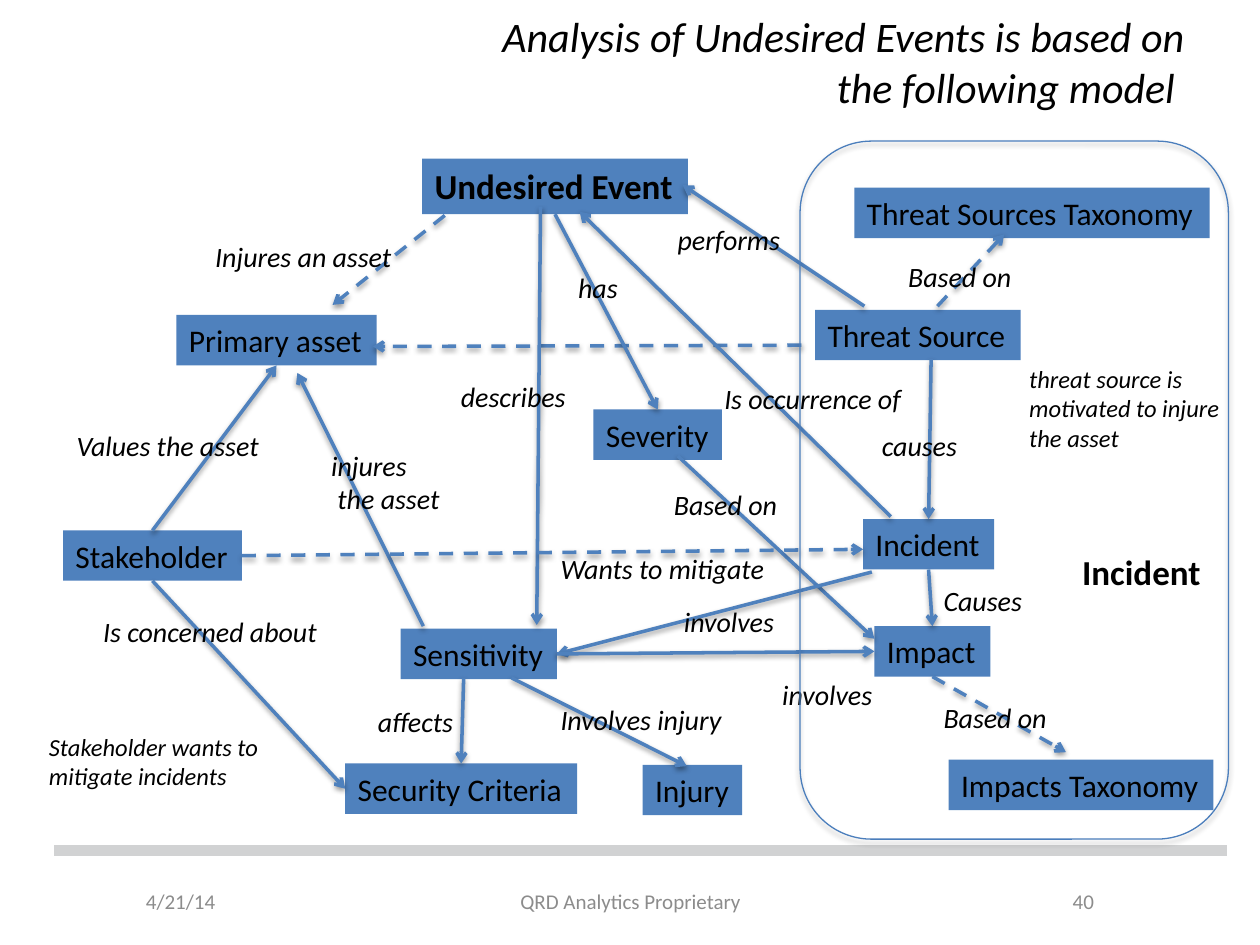
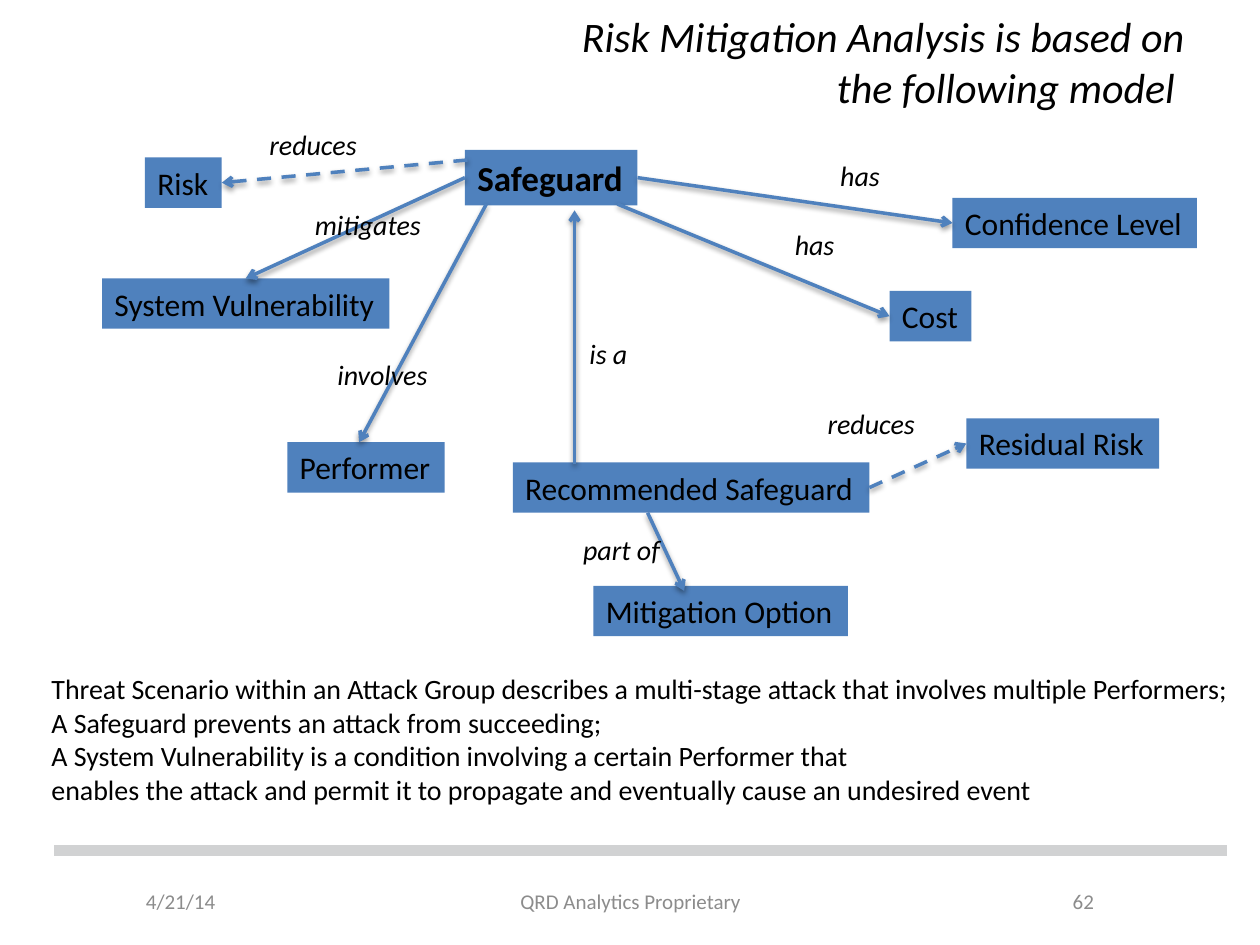
from dataclasses import dataclass
from typing import NamedTuple

from lxml import etree
from pptx import Presentation
from pptx import util as u
from pptx.dml.color import RGBColor
from pptx.enum import dml, shapes, text
from pptx.oxml.ns import qn

EMU_PER_PX = 9144  # 100 px to the inch


def px(length: int) -> u.Emu:
    return u.Emu(length * EMU_PER_PX)


@dataclass(frozen=True)
class Theme:
    font: str = "Calibri"
    ink: str = "000000"
    box: str = "4F81BD"
    frame: str = "4B7EBC"
    footer: str = "8C8C8C"
    band: str = "D1D2D3"
    title_pt: int = 24
    heading_pt: int = 20
    box_pt: int = 18
    label_pt: int = 16
    remark_pt: int = 14
    footer_pt: int = 12
    arrow_pt: float = 2
    frame_pt: float = 0.75
    band_pt: float = 6


THEME = Theme()
LEFT, CENTER, RIGHT = text.PP_ALIGN.LEFT, text.PP_ALIGN.CENTER, text.PP_ALIGN.RIGHT
SIDES = {"top": 0, "left": 1, "bottom": 2, "right": 3}


class Area(NamedTuple):
    left: int
    top: int
    width: int
    height: int


class Style(NamedTuple):
    size: int
    color: str = THEME.ink
    bold: bool = False
    italic: bool = False
    align: text.PP_ALIGN = LEFT


TITLE = Style(THEME.title_pt, italic=True, align=RIGHT)
HEADING = Style(THEME.heading_pt, bold=True)
CONCEPT = Style(THEME.box_pt)
LABEL = Style(THEME.label_pt, italic=True)
REMARK = Style(THEME.remark_pt, italic=True)
BODY = Style(THEME.label_pt)


class Concept(NamedTuple):
    """A filled box; the main concept of a slide is bold and taller."""
    name: str
    left: int
    top: int
    width: int
    main: bool = False


class Label(NamedTuple):
    words: str
    area: Area
    style: Style = LABEL
    wrap: bool = False


class Side(NamedTuple):
    concept: str
    side: str


class Point(NamedTuple):
    x: int
    y: int


class Arrow(NamedTuple):
    start: Point | Side
    end: Point | Side
    dashed: bool = False


@dataclass(frozen=True)
class Model:
    title: str
    number: str
    concepts: list[Concept]
    arrows: list[Arrow]
    labels: list[Label]
    frame: Area | None = None


def relation(words: str, left: int, top: int, width: int, height: int = 37) -> Label:
    return Label(words, Area(left, top, width, height))


def write(frame, paragraphs: list[str], style: Style) -> None:
    """Fill a text frame; a newline inside a paragraph becomes a line break."""
    for index, words in enumerate(paragraphs):
        para = frame.paragraphs[0] if index == 0 else frame.add_paragraph()
        para.alignment = style.align
        for row, line in enumerate(words.split("\n")):
            if row:
                para.add_line_break()
            span = para.add_run()
            span.text = line
            span.font.name = THEME.font
            span.font.size = u.Pt(style.size)
            span.font.bold = style.bold
            span.font.italic = style.italic
            span.font.color.rgb = RGBColor.from_string(style.color)


def set_effects(shape, alpha: int = 0, blur: float = 0, distance: float = 0) -> None:
    """Give a shape a downward shadow, or none when alpha is 0."""
    effects = etree.SubElement(shape._element.spPr, qn("a:effectLst"))
    if alpha:
        shadow = etree.SubElement(effects, qn("a:outerShdw"), blurRad=str(u.Pt(blur)),
                                  dist=str(u.Pt(distance)), dir="5400000", rotWithShape="0")
        color = etree.SubElement(shadow, qn("a:srgbClr"), val=THEME.ink)
        etree.SubElement(color, qn("a:alpha"), val=str(alpha * 1000))


def add_text(page, paragraphs: list[str], area: Area, style: Style,
             wrap: bool = True, middle: bool = False) -> None:
    frame = page.shapes.add_textbox(*map(px, area)).text_frame
    frame.word_wrap = wrap
    if middle:
        frame.vertical_anchor = text.MSO_ANCHOR.MIDDLE
    else:
        frame.auto_size = text.MSO_AUTO_SIZE.SHAPE_TO_FIT_TEXT
    write(frame, paragraphs, style)


def add_line(page, start: Point, end: Point, color: str, width: float):
    line = page.shapes.add_connector(shapes.MSO_CONNECTOR.STRAIGHT, *map(px, start + end))
    line.line.color.rgb = RGBColor.from_string(color)
    line.line.width = u.Pt(width)
    return line


def add_concept(page, concept: Concept):
    height = 44 if concept.main else 40
    box = page.shapes.add_shape(shapes.MSO_SHAPE.RECTANGLE, px(concept.left), px(concept.top),
                                px(concept.width), px(height))
    box.shadow.inherit = False
    box.fill.solid()
    box.fill.fore_color.rgb = RGBColor.from_string(THEME.box)
    box.line.fill.background()
    frame = box.text_frame
    frame.word_wrap = False
    frame.auto_size = text.MSO_AUTO_SIZE.SHAPE_TO_FIT_TEXT
    frame.vertical_anchor = text.MSO_ANCHOR.TOP
    write(frame, [concept.name], HEADING if concept.main else CONCEPT)
    return box


def add_arrow(page, arrow: Arrow, boxes: dict) -> None:
    origin = Point(0, 0)
    start, end = (origin if isinstance(tip, Side) else tip for tip in arrow[:2])
    line = add_line(page, start, end, THEME.box, THEME.arrow_pt)
    for tip, connect in ((arrow.start, line.begin_connect), (arrow.end, line.end_connect)):
        if isinstance(tip, Side):
            connect(boxes[tip.concept], SIDES[tip.side])
    if arrow.dashed:
        line.line.dash_style = dml.MSO_LINE.DASH
    etree.SubElement(line.line._get_or_add_ln(), qn("a:tailEnd"), type="arrow")
    set_effects(line, alpha=38, blur=3.1, distance=1.6)


def add_frame(page, area: Area) -> None:
    frame = page.shapes.add_shape(shapes.MSO_SHAPE.ROUNDED_RECTANGLE, *map(px, area))
    frame.fill.background()
    frame.line.color.rgb = RGBColor.from_string(THEME.frame)
    frame.line.width = u.Pt(THEME.frame_pt)
    set_effects(frame, alpha=35, blur=3.1, distance=1.8)


def add_footer(page, number: str) -> None:
    for words, left, width, align in (("4/21/14", 106, 177, LEFT),
                                      ("QRD Analytics Proprietary", 342, 317, CENTER),
                                      (number, 717, 161, RIGHT)):
        style = Style(THEME.footer_pt, THEME.footer, align=align)
        add_text(page, [words], Area(left, 695, width, 40), style, middle=True)
    set_effects(add_line(page, Point(43, 675), Point(974, 675), THEME.band, THEME.band_pt))


def add_title(page, words: str) -> None:
    title = page.shapes.title
    title.left, title.top, title.width, title.height = map(px, (50, 21, 900, 55))
    title.text_frame.auto_size = text.MSO_AUTO_SIZE.NONE
    title.text_frame.vertical_anchor = text.MSO_ANCHOR.MIDDLE
    write(title.text_frame, [words], TITLE)


def add_model(deck, model: Model):
    page = deck.slides.add_slide(deck.slide_layouts[5])
    add_footer(page, model.number)
    add_title(page, model.title)
    boxes = {concept.name: add_concept(page, concept) for concept in model.concepts}
    for arrow in model.arrows:
        add_arrow(page, arrow, boxes)
    for label in model.labels:
        add_text(page, [label.words], label.area, label.style, label.wrap)
    if model.frame:
        add_frame(page, model.frame)
    return page


UNDESIRED_EVENTS = Model(
    title="Analysis of Undesired Events is based on\nthe following model ",
    number="40",
    frame=Area(635, 112, 340, 554),
    concepts=[
        Concept("Undesired Event", 335, 126, 211, main=True),
        Concept("Primary asset", 140, 250, 159),
        Concept("Sensitivity", 318, 499, 124),
        Concept("Threat Source", 647, 246, 163),
        Concept("Impact", 694, 497, 92),
        Concept("Impacts Taxonomy", 753, 603, 210),
        Concept("Threat Sources Taxonomy", 678, 149, 282),
        Concept("Stakeholder", 50, 421, 142),
        Concept("Security Criteria", 274, 606, 184),
        Concept("Severity", 471, 325, 102),
        Concept("Incident", 685, 412, 104),
        Concept("Injury", 510, 607, 79),
    ],
    arrows=[
        Arrow(Point(353, 171), Point(264, 242), dashed=True),
        Arrow(Point(739, 285), Side("Incident", "top")),
        Arrow(Point(636, 274), Point(296, 275), dashed=True),
        Arrow(Point(744, 243), Point(797, 186), dashed=True),
        Arrow(Point(429, 164), Point(426, 496)),
        Arrow(Side("Incident", "bottom"), Side("Impact", "top")),
        Arrow(Side("Impact", "bottom"), Point(846, 597), dashed=True),
        Arrow(Side("Undesired Event", "bottom"), Side("Severity", "top")),
        Arrow(Point(538, 362), Point(694, 507)),
        Arrow(Point(368, 538), Side("Security Criteria", "top")),
        Arrow(Side("Stakeholder", "top"), Side("Primary asset", "bottom")),
        Arrow(Point(336, 497), Point(236, 296)),
        Arrow(Side("Stakeholder", "right"), Point(685, 436), dashed=True),
        Arrow(Side("Stakeholder", "bottom"), Side("Security Criteria", "left")),
        Arrow(Point(692, 454), Side("Sensitivity", "right")),
        Arrow(Point(707, 410), Point(460, 168)),
        Arrow(Point(406, 538), Point(545, 608)),
        Arrow(Point(686, 243), Point(542, 147)),
        Arrow(Side("Sensitivity", "right"), Side("Impact", "left")),
    ],
    labels=[
        relation("Injures an asset", 161, 185, 167),
        relation("causes", 690, 335, 86),
        relation("Based on", 711, 201, 108),
        relation("has", 449, 210, 57),
        relation("Causes", 739, 458, 89),
        relation("Based on", 739, 551, 108),
        relation("describes", 356, 296, 110),
        relation("affects", 290, 554, 86),
        relation("Values the asset", 51, 335, 170),
        relation("Based on", 525, 382, 108),
        relation("injures\n the asset", 253, 351, 113, 64),
        relation("Is concerned about", 72, 483, 197),
        relation("Involves injury", 435, 553, 155),
        relation("Wants to mitigate", 435, 433, 189),
        relation("Is occurrence of", 565, 298, 167),
        relation("involves", 533, 475, 98),
        relation("performs", 528, 172, 108),
        relation("involves", 611, 533, 98),
        Label("threat source is\nmotivated to injure\nthe asset",
              Area(807, 284, 176, 81), REMARK, wrap=True),
        Label("Stakeholder wants to mitigate incidents",
              Area(29, 576, 200, 57), REMARK, wrap=True),
        Label("Incident", Area(849, 432, 116, 44), HEADING),
    ],
)

RISK_MITIGATION = Model(
    title="Risk Mitigation Analysis is based on\nthe following model ",
    number="62",
    concepts=[
        Concept("Safeguard", 369, 119, 137, main=True),
        Concept("System Vulnerability", 81, 221, 228),
        Concept("Performer", 228, 351, 125),
        Concept("Cost", 706, 231, 65),
        Concept("Confidence Level", 756, 157, 194),
        Concept("Recommended Safeguard", 407, 367, 283),
        Concept("Mitigation Option", 471, 465, 202),
        Concept("Risk", 115, 125, 61),
        Concept("Residual Risk", 767, 332, 153),
    ],
    arrows=[
        Arrow(Side("Safeguard", "left"), Side("System Vulnerability", "top")),
        Arrow(Point(386, 162), Point(285, 351)),
        Arrow(Side("Safeguard", "right"), Side("Confidence Level", "left")),
        Arrow(Point(490, 162), Side("Cost", "left")),
        Arrow(Point(514, 407), Point(543, 469)),
        Arrow(Point(456, 368), Point(456, 167)),
        Arrow(Point(371, 127), Side("Risk", "right"), dashed=True),
        Arrow(Side("Recommended Safeguard", "right"), Side("Residual Risk", "left"), dashed=True),
    ],
    labels=[
        relation("involves", 258, 279, 98),
        relation("mitigates", 240, 160, 111),
        relation("has", 657, 121, 57),
        relation("has", 621, 176, 57),
        relation("part of", 453, 418, 87),
        relation("is a", 458, 262, 57),
        relation("reduces", 204, 96, 96),
        relation("reduces", 647, 318, 96),
    ],
)

ATTACK_NOTES = [
    "Threat Scenario within an Attack Group describes a multi-stage attack"
    " that involves multiple Performers;",
    "A Safeguard prevents an attack from succeeding;",
    "A System Vulnerability is a condition involving a certain Performer that",
    "enables the attack and permit it to propagate and eventually cause an undesired event",
]


def main() -> None:
    deck = Presentation()
    deck.slide_width, deck.slide_height = px(1000), px(750)
    add_model(deck, UNDESIRED_EVENTS)
    mitigation = add_model(deck, RISK_MITIGATION)
    add_text(mitigation, ATTACK_NOTES, Area(31, 528, 969, 118), BODY)
    deck.save("out.pptx")


if __name__ == "__main__":
    main()
